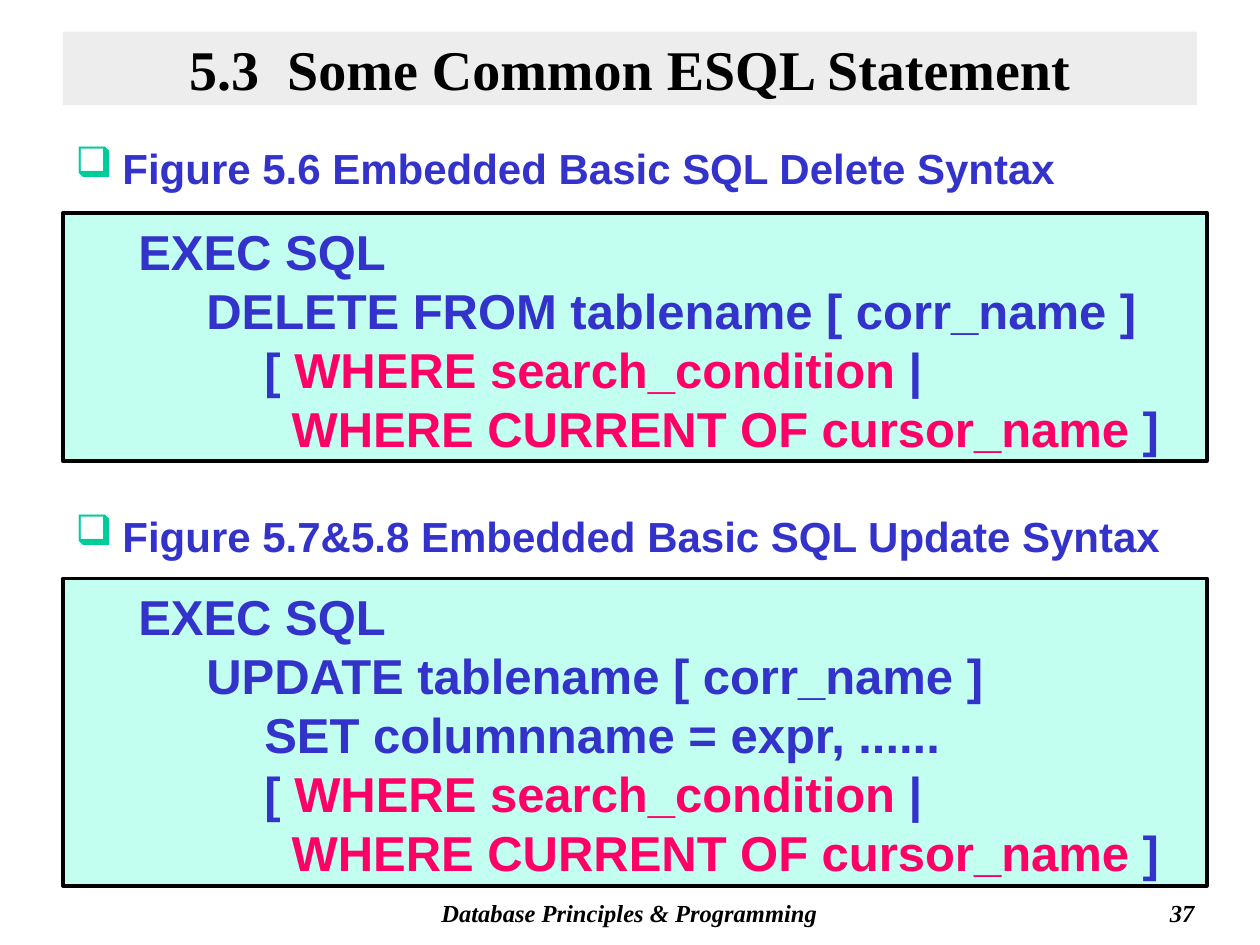
from lxml import etree
from pptx import Presentation
from pptx.dml.color import RGBColor
from pptx.enum.shapes import MSO_SHAPE
from pptx.enum.text import MSO_ANCHOR, PP_ALIGN
from pptx.oxml.ns import qn
from pptx.util import Cm, Pt

RECT = MSO_SHAPE.RECTANGLE
TOP, MIDDLE = MSO_ANCHOR.TOP, MSO_ANCHOR.MIDDLE
LEFT, CENTER, RIGHT = PP_ALIGN.LEFT, PP_ALIGN.CENTER, PP_ALIGN.RIGHT
BLACK = RGBColor(0x00, 0x00, 0x00)
GREY = RGBColor(0xDD, 0xDD, 0xDD)
BLUE = RGBColor(0x33, 0x33, 0xCC)
PINK = RGBColor(0xFF, 0x00, 0x66)
MINT = RGBColor(0xC2, 0xFF, 0xF0)
GREEN = RGBColor(0x00, 0xCC, 0x99)
SERIF, SANS = "Times New Roman", "Arial"

LINE_H = 1.19
PAD = 0.25
STATEMENT, CLAUSE, OPTION, ALTERNATIVE = 1.27, 2.64, 3.81, 4.36

WHERE = [
    (OPTION, [("[ ", BLUE), ("WHERE search_condition", PINK), (" |", BLUE)]),
    (ALTERNATIVE, [("WHERE CURRENT OF cursor_name", PINK), (" ]", BLUE)]),
]
DELETE = [
    (STATEMENT, [("EXEC SQL", BLUE)]),
    (CLAUSE, [("DELETE FROM tablename [ corr_name ]", BLUE)]),
    *WHERE,
]
UPDATE = [
    (STATEMENT, [("EXEC SQL", BLUE)]),
    (CLAUSE, [("UPDATE tablename [ corr_name ]", BLUE)]),
    (OPTION, [("SET columnname = expr, ......", BLUE)]),
    *WHERE,
]


def add_run(p, text, font, size, color, italic=False):
    r = p.add_run()
    r.text = text
    r.font.name = font
    r.font.size = Pt(size)
    r.font.bold = True
    r.font.italic = italic
    r.font.color.rgb = color


def set_indent(p, left, first=0):
    pPr = p._p.get_or_add_pPr()
    pPr.set("marL", str(Cm(left)))
    pPr.set("indent", str(Cm(first)))
    return pPr


def add_text_box(s, left, top, width, height, align=LEFT):
    sp = s.shapes.add_textbox(Cm(left), Cm(top), Cm(width), Cm(height))
    sp.text_frame.word_wrap = True
    p = sp.text_frame.paragraphs[0]
    p.alignment = align
    return p


def add_rect(s, left, top, width, height, fill, anchor):
    sp = s.shapes.add_shape(RECT, Cm(left), Cm(top), Cm(width), Cm(height))
    sp.shadow.inherit = False
    sp.fill.solid()
    sp.fill.fore_color.rgb = fill
    sp.text_frame.word_wrap = True
    sp.text_frame.vertical_anchor = anchor
    return sp


def add_title(s, left, top, width, height, text):
    sp = add_rect(s, left, top, width, height, GREY, MIDDLE)
    sp.line.fill.background()
    color = sp.fill._xPr.find(qn("a:solidFill"))[0]
    etree.SubElement(color, qn("a:alpha"), val="50000")
    p = sp.text_frame.paragraphs[0]
    p.alignment = CENTER
    add_run(p, text, SERIF, 32, BLACK)


def add_heading(s, left, top, width, height, text):
    p = add_text_box(s, left, top, width, height)
    p.space_before = Pt(6)
    pPr = set_indent(p, 0.95, -0.95)
    bullet_color = etree.SubElement(pPr, qn("a:buClr"))
    etree.SubElement(bullet_color, qn("a:srgbClr"), val=str(GREEN))
    etree.SubElement(pPr, qn("a:buChar"), char="❑")
    add_run(p, text, SANS, 24, BLUE)


def add_syntax(s, left, top, width, lines):
    height = len(lines) * LINE_H + PAD
    sp = add_rect(s, left, top, width, height, MINT, TOP)
    sp.line.color.rgb = BLACK
    sp.line.width = Pt(2)
    tf = sp.text_frame
    tf.margin_top = Cm(0.17)
    tf.margin_bottom = 0
    for i, (indent, runs) in enumerate(lines):
        p = tf.add_paragraph() if i else tf.paragraphs[0]
        p.alignment = LEFT
        p.line_spacing = Pt(33.7)
        set_indent(p, indent)
        for text, color in runs:
            add_run(p, text, SANS, 28, color)


def add_figure(s, left, top, width, heading_h, heading, lines):
    add_heading(s, left, top, width - 0.2, 1.27, heading)
    add_syntax(s, left, top + heading_h, width, lines)


def add_footer(s, left, top, width, height, text, number):
    middle = add_text_box(s, left + 5.92, top, 11, height, CENTER)
    add_run(middle, text, SERIF, 14, BLACK, True)
    end = add_text_box(s, left + width - 5.28, top, 5.28, height, RIGHT)
    add_run(end, number, SERIF, 14, BLACK, True)


def main():
    prs = Presentation()
    prs.slide_width, prs.slide_height = Cm(25.4), Cm(19.05)
    s = prs.slides.add_slide(prs.slide_layouts[6])
    add_footer(s, 1.27, 17.98, 23.06, 0.85, "Database Principles & Programming", "37")
    add_title(s, 1.27, 0.64, 22.86, 1.48, "5.3  Some Common ESQL Statement")
    add_figure(s, 1.27, 2.74, 23.06, 1.55,
               "Figure 5.6 Embedded Basic SQL Delete Syntax", DELETE)
    add_figure(s, 1.27, 10.16, 23.06, 1.5,
               "Figure 5.7&5.8 Embedded Basic SQL Update Syntax", UPDATE)
    prs.save("out.pptx")


if __name__ == "__main__":
    main()
